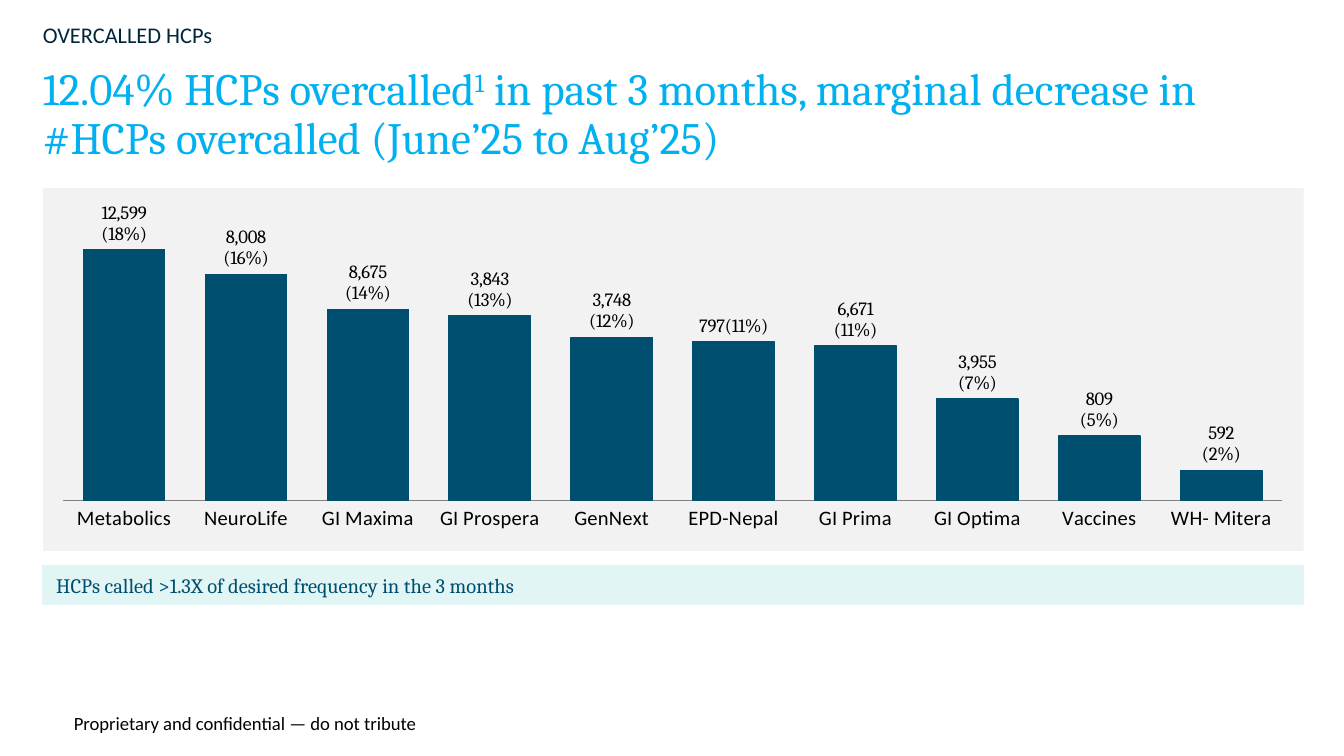
from lxml.etree import fromstring
from pptx import Presentation
from pptx.chart.data import CategoryChartData
from pptx.dml.color import RGBColor
from pptx.enum.chart import XL_CHART_TYPE as ChartType, XL_LABEL_POSITION as LabelPosition
from pptx.enum.chart import XL_TICK_LABEL_POSITION as TickLabels, XL_TICK_MARK as TickMark
from pptx.enum.shapes import MSO_SHAPE as Preset
from pptx.enum.text import MSO_ANCHOR as Anchor, PP_ALIGN as Align
from pptx.util import Inches, Pt

# Content
SECTION = "OVERCALLED HCPs"
TITLE = [
    ("12.04% HCPs overcalled", False),
    ("1", True),  # superscript footnote mark
    (" in past 3 months, marginal decrease in #HCPs overcalled (June’25 to Aug’25)", False),
]
DEFINITION = "HCPs called >1.3X of desired frequency in the 3 months"
FOOTER = "Proprietary and confidential — do not tribute"
DIVISIONS = [  # name, overcalled share in %, label
    ("Metabolics", 17.88, "12,599\n(18%)"),
    ("NeuroLife", 16.1, "8,008\n(16%)"),
    ("GI Maxima", 13.62, "8,675\n(14%)"),
    ("GI Prospera", 13.16, "3,843\n(13%)"),
    ("GenNext", 11.62, "3,748\n(12%)"),
    ("EPD-Nepal", 11.3, "797(11%)"),
    ("GI Prima", 11.04, "6,671\n(11%)"),
    ("GI Optima", 7.23, "3,955\n(7%)"),
    ("Vaccines", 4.6, "809\n(5%)"),
    ("WH- Mitera", 2.14, "592\n(2%)"),
]

# Theme and layout
THEME = {
    "sans": "Calibri", "serif": "Cambria",
    "title": "00B0F0", "section": "002738", "bar": "004F71", "note": "004E6F",
    "band": "E0F5F4", "panel": "F2F2F2", "axis": "808080", "text": "000000",
    "title_size": 24, "section_size": 12, "note_size": 11, "axis_size": 11, "small_size": 10,
}
WIDTH = 10
HEIGHT = WIDTH * 9 / 16
MARGIN, INSET = 0.32, 0.1
CONTENT_WIDTH = WIDTH - MARGIN - 0.3
TEXT_LEFT = MARGIN - INSET  # text lines up with the panel edge
PLOT = {"x": 0.016, "y": 0.087, "w": 0.967, "h": 0.774}
CHART_NS = "http://schemas.openxmlformats.org/drawingml/2006/chart"
DRAWING_NS = "http://schemas.openxmlformats.org/drawingml/2006/main"


def color(name):
    return RGBColor.from_string(THEME[name])


def style(font, face, size, ink):
    font.name, font.size = THEME[face], Pt(THEME[size])
    font.bold = False
    font.color.rgb = color(ink)


def box(left, top, width, height):
    return [Inches(value) for value in (left, top, width, height)]


def add_text(slide, frame, text, face, size, ink):
    text_frame = slide.shapes.add_textbox(*box(*frame)).text_frame
    text_frame.word_wrap = True
    text_frame.text = text
    style(text_frame.paragraphs[0].runs[0].font, face, size, ink)
    return text_frame


def add_title(slide):
    text_frame = slide.shapes.add_textbox(*box(TEXT_LEFT, 0.45, 9.55, 0.83)).text_frame
    text_frame.word_wrap = True
    paragraph = text_frame.paragraphs[0]
    paragraph.line_spacing, paragraph.space_after = 0.9, Pt(4.5)
    for text, raised in TITLE:
        run = paragraph.add_run()
        run.text = text
        style(run.font, "serif", "title_size", "title")
        if raised:
            run._r.get_or_add_rPr().set("baseline", "30000")


def add_definition(slide):
    band = slide.shapes.add_shape(Preset.RECTANGLE, *box(MARGIN, 4.21, CONTENT_WIDTH, 0.29))
    band.shadow.inherit = False
    band.fill.solid()
    band.fill.fore_color.rgb = band.line.color.rgb = color("band")
    band.line.width = Pt(0.75)
    text_frame = band.text_frame
    text_frame.word_wrap = True
    text_frame.vertical_anchor = Anchor.MIDDLE
    text_frame.text = DEFINITION
    paragraph = text_frame.paragraphs[0]
    paragraph.alignment = Align.LEFT
    style(paragraph.runs[0].font, "serif", "note_size", "note")


def place_plot(chart):
    """Fix the inner plot area and fill the chart panel."""
    chart_element = chart._chartSpace.chart
    plot_area = chart_element.plotArea
    for layout in plot_area.findall(f"{{{CHART_NS}}}layout"):
        plot_area.remove(layout)
    modes = "".join(f'<c:{side}Mode val="edge"/>' for side in "xy")
    shares = "".join(f'<c:{side} val="{share}"/>' for side, share in PLOT.items())
    plot_area.insert(0, fromstring(
        f'<c:layout xmlns:c="{CHART_NS}"><c:manualLayout><c:layoutTarget val="inner"/>'
        f"{modes}{shares}</c:manualLayout></c:layout>"))
    chart_element.addnext(fromstring(
        f'<c:spPr xmlns:c="{CHART_NS}" xmlns:a="{DRAWING_NS}"><a:solidFill>'
        f'<a:srgbClr val="{THEME["panel"]}"/></a:solidFill><a:ln><a:noFill/></a:ln></c:spPr>'))


def add_chart(slide):
    names, values, labels = zip(*DIVISIONS)
    data = CategoryChartData()
    data.categories = names
    data.add_series("Series 1", values)
    chart = slide.shapes.add_chart(
        ChartType.COLUMN_CLUSTERED, *box(MARGIN, 1.4, CONTENT_WIDTH, 2.7), data).chart
    chart.has_legend = chart.has_title = False
    style(chart.font, "sans", "small_size", "text")
    place_plot(chart)

    # Axes
    value_axis, category_axis = chart.value_axis, chart.category_axis
    value_axis.minimum_scale, value_axis.maximum_scale = 0, 20
    value_axis.has_major_gridlines = False
    value_axis.visible = False
    category_axis.major_tick_mark = category_axis.minor_tick_mark = TickMark.NONE
    category_axis.tick_label_position = TickLabels.NEXT_TO_AXIS
    category_axis.format.line.color.rgb = color("axis")
    category_axis.format.line.width = Pt(0.75)
    style(category_axis.tick_labels.font, "sans", "axis_size", "text")

    # Columns and their labels
    plot = chart.plots[0]
    plot.gap_width, plot.vary_by_categories = 50, False
    series = plot.series[0]
    series.format.fill.solid()
    series.format.fill.fore_color.rgb = series.format.line.color.rgb = color("bar")
    series.format.line.width = Pt(0.75)
    series.data_labels.show_value = True
    series.data_labels.position = LabelPosition.OUTSIDE_END
    style(series.data_labels.font, "serif", "small_size", "text")
    for index, text in enumerate(labels):
        label = series.points[index].data_label
        label.text_frame.text = text
        label.position = LabelPosition.OUTSIDE_END
        for paragraph in label.text_frame.paragraphs:
            style(paragraph.runs[0].font, "serif", "small_size", "text")


def main():
    presentation = Presentation()
    presentation.slide_width, presentation.slide_height = Inches(WIDTH), Inches(HEIGHT)
    slide = presentation.slides.add_slide(presentation.slide_layouts[6])

    footer = add_text(slide, (0.55, 5.27, 3.34, 0.24), FOOTER, "sans", "small_size", "text")
    footer.margin_left = footer.margin_right = 0
    footer.vertical_anchor = Anchor.BOTTOM
    add_title(slide)
    add_text(slide, (TEXT_LEFT, 0.11, 2.37, 0.3), SECTION, "sans", "section_size", "section")
    add_definition(slide)
    add_chart(slide)
    presentation.save("out.pptx")


if __name__ == "__main__":
    main()
